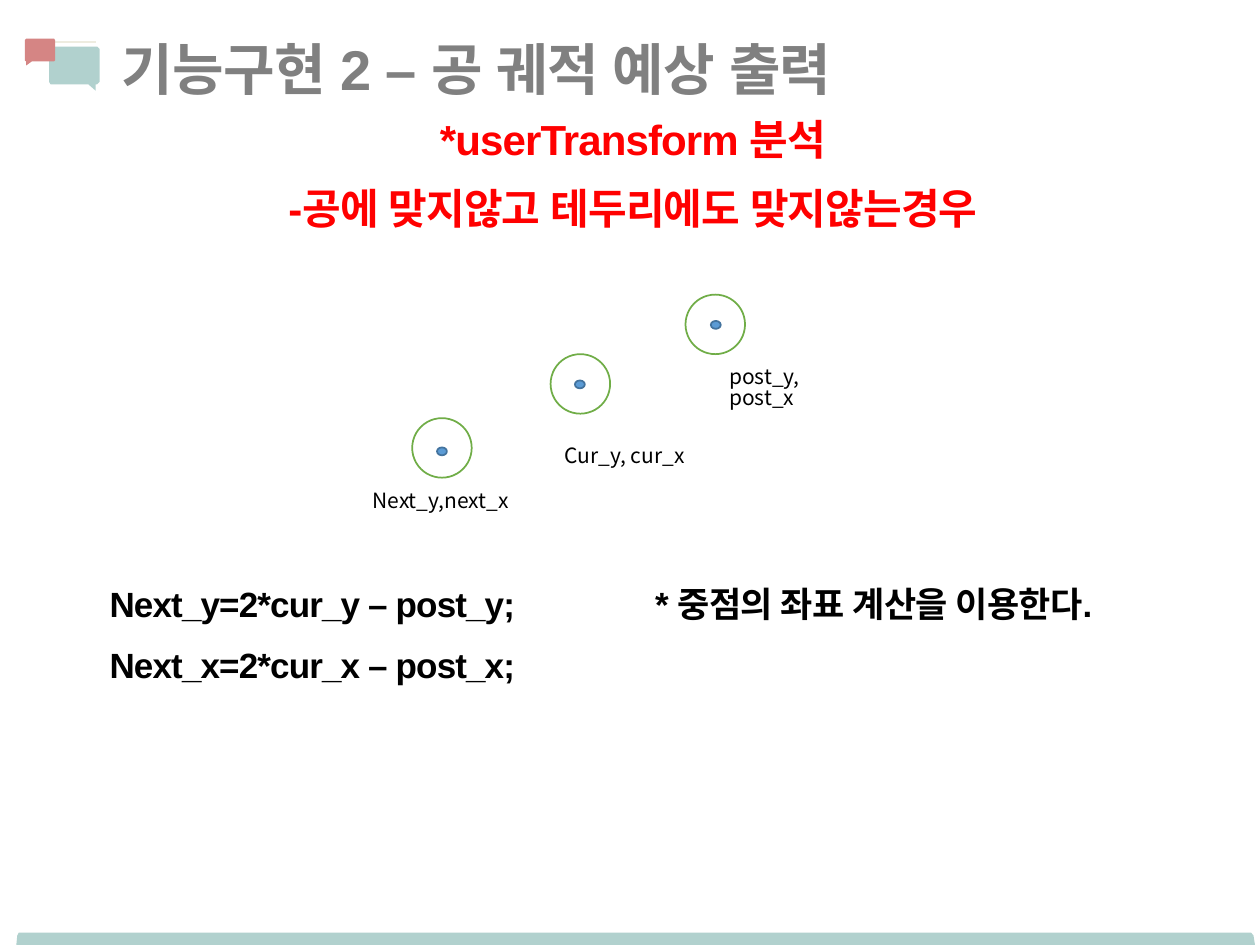
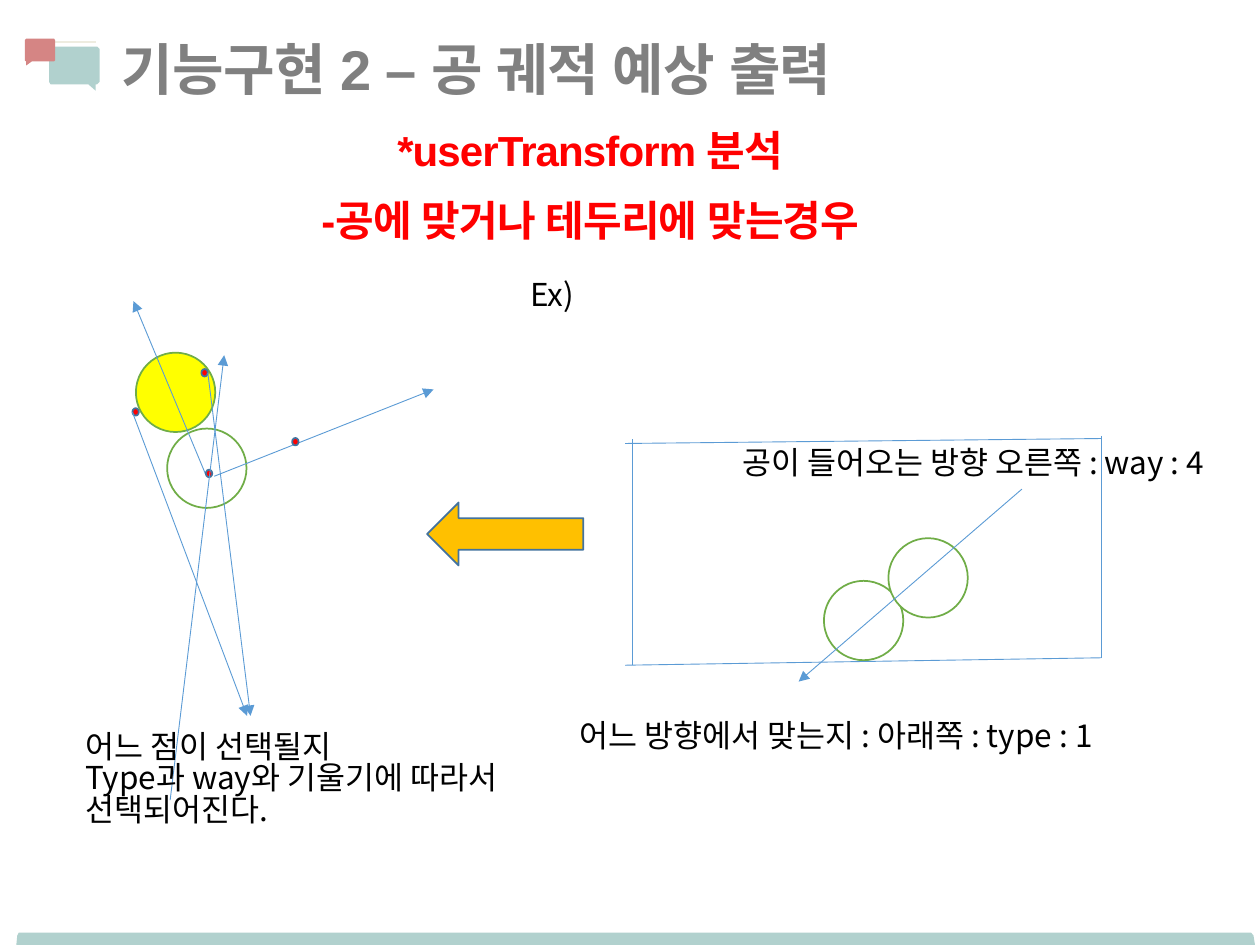
"""Build two slides that explain how the path of a ball is predicted."""
from dataclasses import dataclass
from typing import NamedTuple

from lxml.etree import SubElement
from pptx import Presentation
from pptx.dml.color import RGBColor
from pptx.enum.shapes import MSO_CONNECTOR, MSO_SHAPE
from pptx.enum.text import MSO_ANCHOR, PP_ALIGN
from pptx.oxml.ns import qn
from pptx.util import Cm, Pt

TEAL = RGBColor(0xB1, 0xD1, 0xCE)
ROSE = RGBColor(0xD5, 0x85, 0x84)
CREAM = RGBColor(0xEE, 0xEC, 0xE0)
GRAY = RGBColor(0x80, 0x80, 0x80)
RED = RGBColor(0xFF, 0x00, 0x00)
BLACK = RGBColor(0x00, 0x00, 0x00)
WHITE = RGBColor(0xFF, 0xFF, 0xFF)
YELLOW = RGBColor(0xFF, 0xFF, 0x00)
GOLD = RGBColor(0xFF, 0xC0, 0x00)
GREEN = RGBColor(0x70, 0xAD, 0x47)
BLUE = RGBColor(0x5B, 0x9B, 0xD5)
NAVY = RGBColor(0x43, 0x73, 0x9E)

TITLE = "기능구현 2 – 공 궤적 예상 출력"
BOLD = {"name": "Arial", "bold": True}
PLAIN = {"name": "Noto Sans CJK KR", "bold": False}


class Style(NamedTuple):
    """Hold the look of a text box."""
    font: dict
    size: int
    color: RGBColor
    para: dict
    frame: dict
    track: int = 0


class Figure(NamedTuple):
    """Hold the look of a preset shape."""
    kind: MSO_SHAPE
    width: float
    height: float
    fill: RGBColor
    edge: RGBColor


@dataclass
class Label:
    """Place lines of text on a slide."""
    left: float
    top: float
    width: float
    height: float
    lines: list[str]
    style: Style
    tab: float = 0


@dataclass
class Mark:
    """Place a figure on a slide."""
    left: float
    top: float
    figure: Figure


@dataclass
class Line:
    """Place a straight line or arrow on a slide."""
    start: tuple[float, float]
    end: tuple[float, float]
    arrow: bool = False
    color: RGBColor = BLUE
    width: float = 0.5


@dataclass
class Patch:
    """Place a filled outline on a slide."""
    points: list[tuple[float, float]]
    fill: RGBColor


SPACED = {"space_after": Pt(11)}
TIGHT = {"line_spacing": 0.83}
MIDDLE = {"word_wrap": True, "vertical_anchor": MSO_ANCHOR.MIDDLE}
INSET = {"margin_left": Cm(2.31), "margin_top": Cm(0.51),
         "margin_right": 0, "margin_bottom": 0}
TOP = {"word_wrap": True, "vertical_anchor": MSO_ANCHOR.TOP}

HEAD = Style(BOLD, 32, GRAY, SPACED, MIDDLE | INSET, -50)
TOPIC = Style(BOLD, 24, RED, SPACED | {"alignment": PP_ALIGN.CENTER}, MIDDLE, -50)
RULE = Style(BOLD, 20, BLACK, SPACED, MIDDLE, -50)
NAME = Style(PLAIN, 12, BLACK, TIGHT, TOP)
NOTE = Style(PLAIN, 18, BLACK, TIGHT, TOP)

SMALL = Figure(MSO_SHAPE.OVAL, 1.2, 1.2, WHITE, GREEN)
CORE = Figure(MSO_SHAPE.OVAL, 0.2, 0.16, BLUE, NAVY)
BALL = Figure(MSO_SHAPE.OVAL, 1.6, 1.6, WHITE, GREEN)
TARGET = BALL._replace(fill=YELLOW)
DOT = Figure(MSO_SHAPE.OVAL, 0.13, 0.15, RED, NAVY)
POINTER = Figure(MSO_SHAPE.LEFT_ARROW, 3.15, 1.27, GOLD, NAVY)

SHARED = [
    Patch([(1.02, 0.94), (1.96, 0.94), (2.01, 0.99), (2.01, 1.65), (1.96, 1.7),
           (1.93, 1.7), (1.93, 1.83), (1.78, 1.7), (1.02, 1.7), (0.99, 1.65),
           (0.99, 0.99)], TEAL),
    Line((1.93, 0.85), (1.04, 0.85), color=CREAM, width=1),
    Patch([(0.53, 0.78), (1.09, 0.78), (1.11, 0.81), (1.11, 1.22), (1.09, 1.24),
           (0.64, 1.24), (0.53, 1.32), (0.53, 1.24), (0.5, 1.22), (0.5, 0.81)], ROSE),
    Patch([(0.38, 18.8), (25.22, 18.8), (25.27, 18.86), (25.3, 19.05),
           (0.33, 19.05), (0.35, 18.86)], TEAL),
    Label(0.15, 0, 19.43, 2.24, [TITLE], HEAD),
]

MISS = [
    Label(2.31, 2.44, 20.9, 2.11,
          ["*userTransform 분석", "-공에 맞지않고 테두리에도 맞지않는경우"], TOPIC),
    Label(1.96, 10.72, 20.9, 4.11,
          ["Next_y=2*cur_y – post_y;\t* 중점의 좌표 계산을 이용한다.",
           "Next_x=2*cur_x – post_x;"], RULE, 11),
    Mark(8.31, 8.43, SMALL),
    Mark(11.1, 7.14, SMALL),
    Mark(13.82, 5.94, SMALL),
    Mark(8.81, 9.02, CORE),
    Mark(14.33, 6.47, CORE),
    Mark(11.59, 7.67, CORE),
    Label(7.26, 9.78, 3.3, 0.76, ["Next_y,next_x"], NAME),
    Label(11.13, 8.89, 3.3, 0.76, ["Cur_y, cur_x"], NAME),
    Label(14.45, 7.29, 3.3, 0.76, ["post_y, post_x"], NAME),
]

HIT = [
    Label(1.45, 2.67, 20.9, 2.11,
          ["*userTransform 분석", "-공에 맞거나 테두리에 맞는경우"], TOPIC),
    Mark(2.74, 7.11, TARGET),
    Mark(3.37, 8.64, BALL),
    Line((4.14, 9.55), (2.69, 6.07), True),
    Line((4.32, 9.6), (8.74, 7.85), True),
    Mark(4.15, 9.47, DOT),
    Mark(5.89, 8.83, DOT),
    Label(10.44, 5.54, 13.89, 1.02, ["Ex)"], NOTE),
    Line((3.43, 16.13), (4.52, 7.16), True),
    Mark(16.61, 11.71, BALL),
    Line((12.6, 13.41), (22.2, 13.26)),
    Mark(17.91, 10.85, BALL),
    Line((12.75, 13.41), (12.75, 8.84)),
    Line((12.6, 8.94), (22.2, 8.84)),
    Line((22.2, 8.79), (22.2, 13.26)),
    Line((20.6, 9.86), (16.1, 13.74), True),
    Label(14.71, 8.94, 13.89, 1.02, ["공이 들어오는 방향 오른쪽 : way : 4"], NOTE),
    Label(11.43, 14.43, 13.89, 1.02, ["어느 방향에서 맞는지 : 아래쪽 : type : 1"], NOTE),
    Mark(8.61, 10.13, POINTER),
    Mark(2.67, 8.23, DOT),
    Mark(4.06, 7.44, DOT),
    Line((2.67, 8.31), (4.98, 14.43), True),
    Line((4.19, 7.52), (5.05, 14.43), True),
    Label(1.47, 14.66, 11.79, 2.57,
          ["어느 점이 선택될지", "Type과 way와 기울기에 따라서 선택되어진다."], NOTE),
]


def apply(target: object, values: dict) -> None:
    """Set each named value on the target."""
    for key, value in values.items():
        setattr(target, key, value)


def add_label(shapes, item: Label) -> None:
    """Draw a text box."""
    style = item.style
    box = shapes.add_textbox(Cm(item.left), Cm(item.top), Cm(item.width), Cm(item.height))
    frame = box.text_frame
    apply(frame, style.frame)
    for index, text in enumerate(item.lines):
        para = frame.add_paragraph() if index else frame.paragraphs[0]
        apply(para, style.para)
        if "\t" in text:
            tabs = SubElement(para._p.get_or_add_pPr(), qn("a:tabLst"))
            SubElement(tabs, qn("a:tab"), pos=str(Cm(item.tab)), algn="l")
        run = para.add_run()
        run.text = text
        apply(run.font, style.font | {"size": Pt(style.size)})
        run.font.color.rgb = style.color
        props = run._r.get_or_add_rPr()
        props.set("spc", str(style.track))
        SubElement(props, qn("a:ea"), typeface=style.font["name"])


def add_mark(shapes, item: Mark) -> None:
    """Draw a preset shape."""
    look = item.figure
    shape = shapes.add_shape(look.kind, Cm(item.left), Cm(item.top),
                             Cm(look.width), Cm(look.height))
    shape.shadow.inherit = False
    shape.fill.solid()
    shape.fill.fore_color.rgb = look.fill
    shape.line.color.rgb = look.edge
    shape.line.width = Pt(1)


def add_line(shapes, item: Line) -> None:
    """Draw a straight line, with a head if it is an arrow."""
    ends = [Cm(value) for value in (*item.start, *item.end)]
    line = shapes.add_connector(MSO_CONNECTOR.STRAIGHT, *ends)
    line.line.color.rgb = item.color
    line.line.width = Pt(item.width)
    if item.arrow:
        SubElement(line.line._get_or_add_ln(), qn("a:tailEnd"), type="triangle")
    SubElement(line._element.spPr, qn("a:effectLst"))


def add_patch(shapes, item: Patch) -> None:
    """Draw a filled outline."""
    first, *rest = [(Cm(x), Cm(y)) for x, y in item.points]
    pen = shapes.build_freeform(*first)
    pen.add_line_segments(rest, close=True)
    shape = pen.convert_to_shape()
    shape.shadow.inherit = False
    shape.fill.solid()
    shape.fill.fore_color.rgb = item.fill
    shape.line.fill.background()


DRAW = {Label: add_label, Mark: add_mark, Line: add_line, Patch: add_patch}


def main() -> None:
    """Build and save the deck."""
    deck = Presentation()
    deck.slide_width, deck.slide_height = Cm(25.4), Cm(19.05)
    for items in (MISS, HIT):
        slide = deck.slides.add_slide(deck.slide_layouts[6])
        for item in SHARED + items:
            DRAW[type(item)](slide.shapes, item)
    deck.save("out.pptx")


if __name__ == "__main__":
    main()
